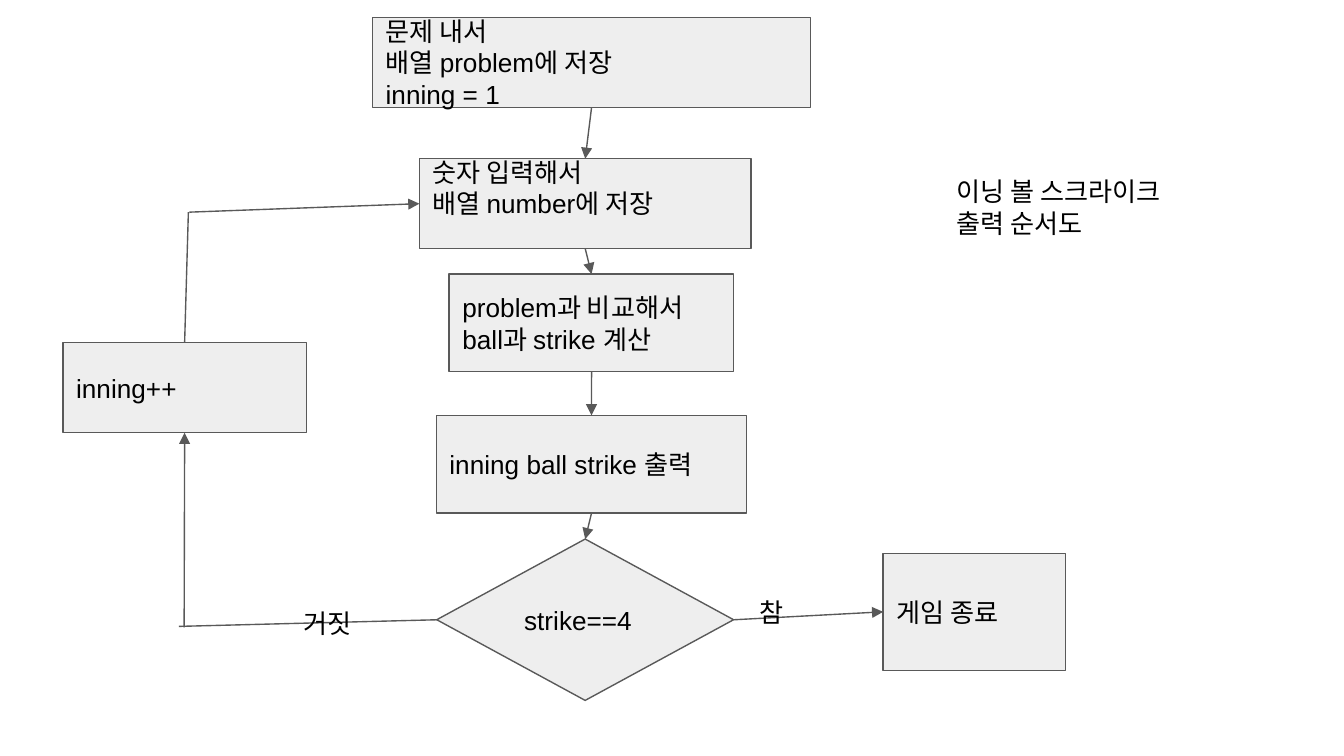
from collections import namedtuple

from lxml.etree import SubElement
from pptx import Presentation
from pptx.dml.color import RGBColor
from pptx.enum.shapes import MSO_CONNECTOR as CONNECTOR, MSO_SHAPE as SHAPE
from pptx.enum.text import MSO_ANCHOR as ANCHOR, PP_ALIGN as ALIGN
from pptx.oxml.ns import qn
from pptx.util import Cm, Pt

BLACK = RGBColor(0x00, 0x00, 0x00)
GRAY = RGBColor(0x59, 0x59, 0x59)
LIGHT = RGBColor(0xEE, 0xEE, 0xEE)

TOP, LEFT, BOTTOM, RIGHT = range(4)
INSET = Cm(0.25)
FONT = {"name": "Arial", "size": Pt(14)}
FRAME = {
    "word_wrap": True,
    "margin_left": INSET,
    "margin_right": INSET,
    "margin_top": INSET,
    "margin_bottom": INSET,
}

Box = namedtuple("Box", "left top width height")


def apply(target, values):
    for key, value in values.items():
        setattr(target, key, value)


def write(shape, lines, **frame_values):
    frame = shape.text_frame
    apply(frame, {**FRAME, **frame_values})
    for index, line in enumerate(lines):
        paragraph = frame.add_paragraph() if index else frame.paragraphs[0]
        paragraph.alignment = ALIGN.LEFT
        run = paragraph.add_run()
        run.text = line
        apply(run.font, FONT)
        run.font.color.rgb = BLACK


def add_step(slide, box, lines, kind=SHAPE.RECTANGLE, **frame_values):
    step = slide.shapes.add_shape(kind, *map(Cm, box))
    step.shadow.inherit = False
    step.fill.solid()
    step.fill.fore_color.rgb = LIGHT
    step.line.color.rgb = GRAY
    step.line.width = Pt(0.75)
    write(step, lines, vertical_anchor=ANCHOR.MIDDLE, **frame_values)
    return step


def add_label(slide, box, text):
    label = slide.shapes.add_textbox(*map(Cm, box))
    write(label, [text], vertical_anchor=ANCHOR.TOP)


def add_flow(slide, start=None, end=None, begin=(0, 0), finish=(0, 0), arrow=True):
    flow = slide.shapes.add_connector(
        CONNECTOR.STRAIGHT, *map(Cm, (*begin, *finish)))
    if start:
        flow.begin_connect(*start)
    if end:
        flow.end_connect(*end)
    flow.line.color.rgb = GRAY
    flow.line.width = Pt(0.75)
    if arrow:
        SubElement(flow.line._get_or_add_ln(), qn("a:tailEnd"), type="triangle")
    SubElement(flow._element.spPr, qn("a:effectLst"))


def draw_main_flow(slide, box):
    center = box.left + box.width / 2

    def place(top, width, height, shift=0):
        return Box(center - width / 2 + shift, box.top + top, width, height)

    setup = add_step(slide, place(0, box.width, 1.7),
                     ["문제 내서", "배열 problem에 저장", "inning = 1"])
    guess = add_step(slide, place(2.67, 6.27, 1.7, -0.12),
                     ["숫자 입력해서", "배열 number에 저장"],
                     margin_bottom=Cm(0.85))
    compare = add_step(slide, place(4.85, 5.38, 1.85),
                       ["problem과 비교해서", "ball과 strike 계산"])
    score = add_step(slide, place(7.52, 5.87, 1.85), ["inning ball strike 출력"])
    decision = add_step(slide, place(9.86, 5.61, 3.05, -0.12),
                        ["strike==4"], SHAPE.DIAMOND)

    steps = [setup, guess, compare, score, decision]
    for upper, lower in zip(steps, steps[1:]):
        add_flow(slide, (upper, BOTTOM), (lower, TOP))
    return guess, decision


def draw_false_loop(slide, box, guess, decision):
    def point(x, y):
        return box.left + x, box.top + y

    increment = add_step(slide, Box(*point(0, 2.47), box.width, 1.7), ["inning++"])
    add_flow(slide, start=(decision, LEFT), finish=point(2.19, 7.83), arrow=False)
    add_flow(slide, begin=point(2.29, 7.85), end=(increment, BOTTOM))
    add_flow(slide, start=(increment, TOP), finish=point(2.37, 0), arrow=False)
    add_flow(slide, begin=point(2.39, 0), end=(guess, LEFT))
    add_label(slide, Box(*point(4.3, 7.22), 2.01, 1.12), "거짓")


def draw_true_exit(slide, box, decision):
    width = 3.45
    game_over = add_step(
        slide, Box(box.left + box.width - width, box.top, width, box.height),
        ["게임 종료"])
    add_flow(slide, (decision, RIGHT), (game_over, LEFT))
    add_label(slide, Box(box.left + 0.23, box.top + 0.56, 2.01, 1.12), "참")


def draw_caption(slide, box):
    add_label(slide, box, "이닝 볼 스크라이크 출력 순서도")


def main():
    deck = Presentation()
    apply(deck, {"slide_width": Cm(25.4), "slide_height": Cm(14.29)})
    slide = deck.slides.add_slide(deck.slide_layouts[6])
    guess, decision = draw_main_flow(slide, Box(7.04, 0.33, 8.28, 12.91))
    draw_false_loop(slide, Box(1.19, 4.01, 4.6, 7.85), guess, decision)
    draw_true_exit(slide, Box(13.87, 10.46, 6.27, 2.21), decision)
    draw_caption(slide, Box(17.83, 3.07, 4.88, 1.7))
    deck.save("out.pptx")


if __name__ == "__main__":
    main()
